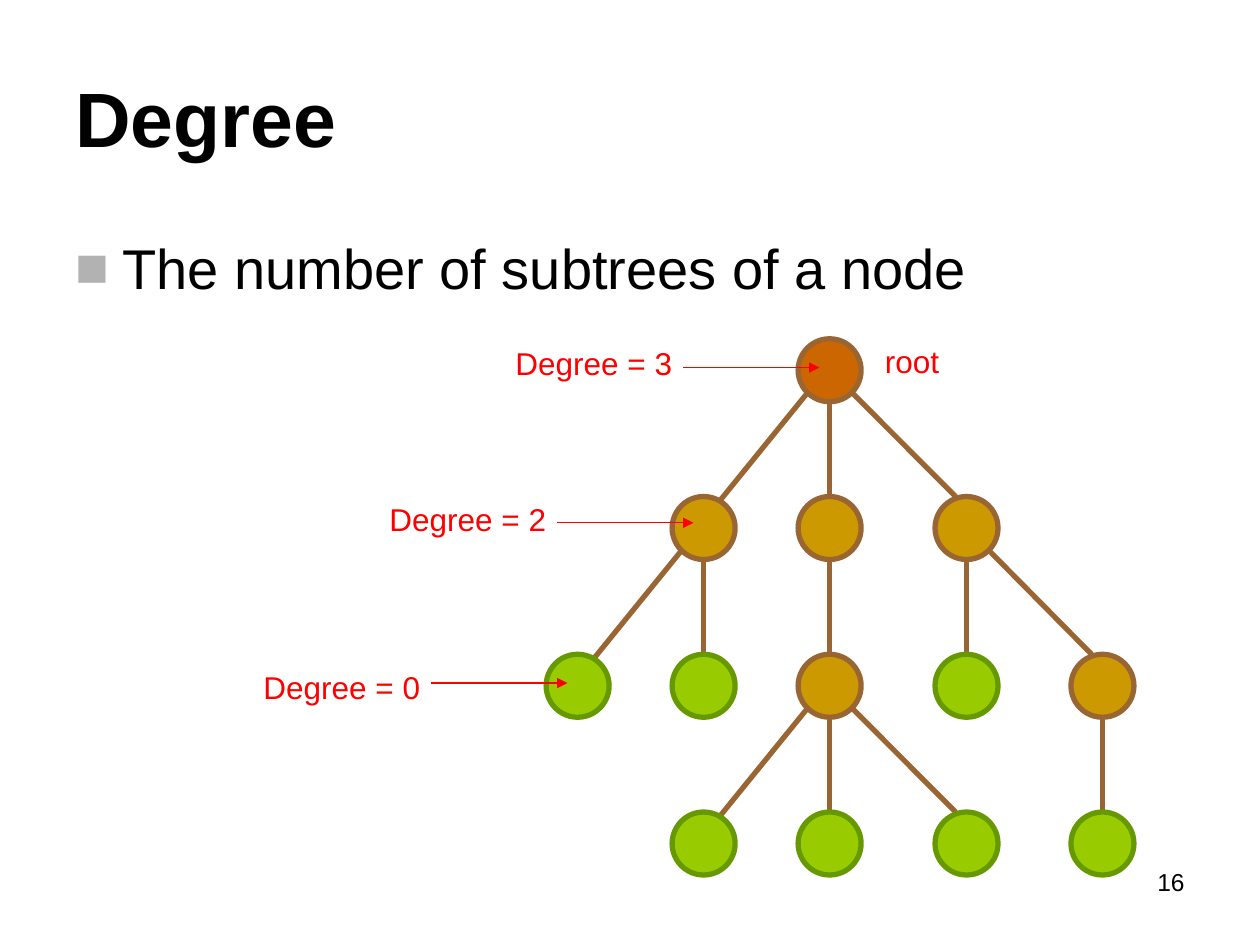
from dataclasses import dataclass

from lxml import etree
from pptx import Presentation
from pptx.dml.color import RGBColor
from pptx.enum import shapes, text
from pptx.oxml import ns
from pptx.util import Cm, Pt


@dataclass(frozen=True)
class Theme:
    font: str = "Arial"
    ink: str = "000000"
    bullet: str = "B2B2B2"
    note: str = "FF0000"
    edge: str = "996633"
    root: tuple = ("CC6600", "996633")
    branch: tuple = ("CC9900", "996633")
    leaf: tuple = ("99CC00", "669900")
    title_size: int = 44
    body_size: int = 32
    label_size: int = 18
    number_size: int = 14
    edge_width: float = 3
    arrow_width: float = 0.75


THEME = Theme()
DIAMETER = 1.27
COLUMNS = (0, 2.54, 5.08, 7.84, 10.58)
ROW_STEP = 3.18

# Each node is (row, column); its children follow.
TREE = {
    (0, 2): [(1, 1), (1, 2), (1, 3)],
    (1, 1): [(2, 0), (2, 1)],
    (1, 2): [(2, 2)],
    (1, 3): [(2, 3), (2, 4)],
    (2, 2): [(3, 1), (3, 2), (3, 3)],
    (2, 4): [(3, 4)],
}


def colour(value):
    return RGBColor.from_string(value)


def add_text(page, frame, wording, size, ink=THEME.ink, bold=False,
             align=text.PP_ALIGN.LEFT, anchor=text.MSO_ANCHOR.TOP):
    """Add a one-paragraph text box; frame is left, top, width, height in cm."""
    box = page.shapes.add_textbox(*map(Cm, frame))
    box.text_frame.word_wrap = True
    box.text_frame.vertical_anchor = anchor
    para = box.text_frame.paragraphs[0]
    para.alignment = align
    span = para.add_run()
    span.text = wording
    span.font.name = THEME.font
    span.font.size = Pt(size)
    span.font.bold = bold
    span.font.color.rgb = colour(ink)
    return box


def add_line(page, start, end, ink, width, arrow=False):
    line = page.shapes.add_connector(
        shapes.MSO_CONNECTOR.STRAIGHT, *map(Cm, start + end))
    line.line.color.rgb = colour(ink)
    line.line.width = Pt(width)
    if arrow:
        etree.SubElement(line.line._get_or_add_ln(), ns.qn("a:tailEnd"),
                         type="triangle")
    etree.SubElement(line._element.spPr, ns.qn("a:effectLst"))


def add_heading(page, frame):
    add_text(page, frame, "Degree", THEME.title_size, bold=True,
             anchor=text.MSO_ANCHOR.MIDDLE)


def add_definition(page, frame):
    box = add_text(page, frame, "The number of subtrees of a node",
                   THEME.body_size)
    box.text_frame.margin_top = Cm(0.25)
    props = box.text_frame.paragraphs[0]._p.get_or_add_pPr()
    indent = Cm(0.95)
    props.set("marL", str(indent))
    props.set("indent", str(-indent))
    bullet_colour = etree.SubElement(props, ns.qn("a:buClr"))
    etree.SubElement(bullet_colour, ns.qn("a:srgbClr"), val=THEME.bullet)
    etree.SubElement(props, ns.qn("a:buFont"), typeface=THEME.font)
    etree.SubElement(props, ns.qn("a:buChar"), char="■")


def node_corner(node, left, top):
    row, column = node
    return left + COLUMNS[column], top + row * ROW_STEP


def add_edge(page, parent, child, left, top):
    """Join the rims of two nodes, leaning left, right or straight down."""
    radius = DIAMETER / 2
    parent_x, parent_y = (v + radius for v in node_corner(parent, left, top))
    child_x, child_y = (v + radius for v in node_corner(child, left, top))
    side = (child_x > parent_x) - (child_x < parent_x)
    start = (child_x - 0.22 * side, child_y - (0.42 if side < 0 else radius))
    end = (parent_x + 0.42 * side, parent_y + (0.42 if side else radius))
    add_line(page, start, end, THEME.edge, THEME.edge_width)


def add_node(page, node, left, top):
    if node[0] == 0:
        fill, rim = THEME.root
    else:
        fill, rim = THEME.branch if node in TREE else THEME.leaf
    x, y = node_corner(node, left, top)
    circle = page.shapes.add_shape(
        shapes.MSO_SHAPE.OVAL, Cm(x), Cm(y), Cm(DIAMETER), Cm(DIAMETER))
    circle.shadow.inherit = False
    circle.fill.solid()
    circle.fill.fore_color.rgb = colour(fill)
    circle.line.color.rgb = colour(rim)
    circle.line.width = Pt(THEME.edge_width)


def add_degree(page, node, degree, label_drop, arrow_drop, left, top):
    """Label a node from its left; the drops are measured from its top."""
    x, y = node_corner(node, left, top)
    add_text(page, (x - 6.13, y + label_drop, 4.02, 1.02),
             f"Degree = {degree}", THEME.label_size, THEME.note,
             align=text.PP_ALIGN.CENTER)
    add_line(page, (x - 2.32, y + arrow_drop), (x + 0.43, y + arrow_drop),
             THEME.note, THEME.arrow_width, arrow=True)


def add_tree(page, left, top):
    for parent, children in TREE.items():
        for child in children:
            add_edge(page, parent, child, left, top)
    root = next(iter(TREE))
    for node in [root] + sum(TREE.values(), []):
        add_node(page, node, left, top)
    x, y = node_corner(root, left, top)
    add_text(page, (x + 1.5, y - 0.05, 4.02, 1.02), "root",
             THEME.label_size, THEME.note)
    for node, label_drop, arrow_drop in (
            (root, -0.02, 0.58), ((1, 1), -0.05, 0.53), ((2, 0), 0.15, 0.58)):
        degree = len(TREE.get(node, []))
        add_degree(page, node, degree, label_drop, arrow_drop, left, top)


def add_page_number(page, frame):
    add_text(page, frame, "16", THEME.number_size, align=text.PP_ALIGN.RIGHT)


def main():
    deck = Presentation()
    deck.slide_width, deck.slide_height = Cm(25.4), Cm(19.05)
    page = deck.slides.add_slide(deck.slide_layouts[6])
    add_heading(page, (1.27, 0.76, 22.86, 3.18))
    add_definition(page, (1.27, 4.45, 22.86, 12.57))
    add_tree(page, 11.01, 6.83)
    add_page_number(page, (18.21, 17.35, 5.92, 1.32))
    deck.save("out.pptx")


if __name__ == "__main__":
    main()
